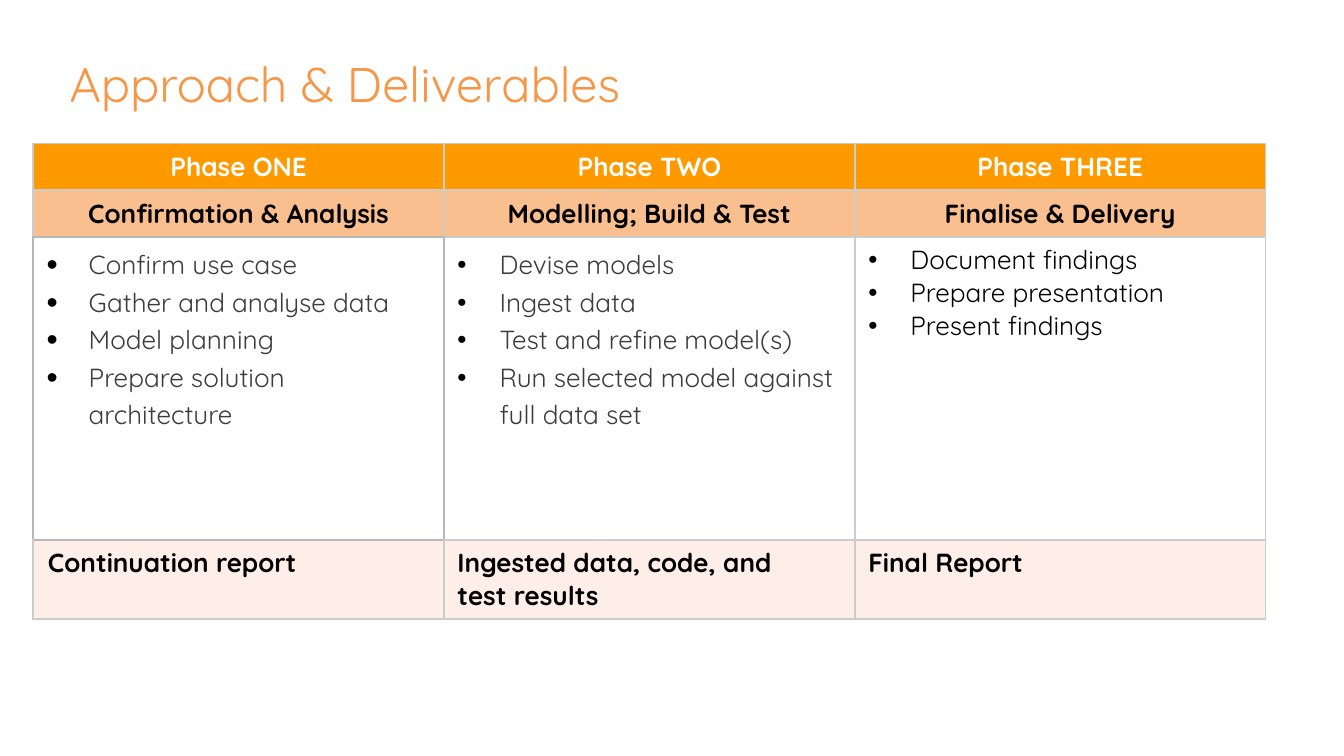
"""Build the Approach & Deliverables slide with its three-phase table."""
from lxml import etree
from pptx import Presentation
from pptx import util as u
from pptx.dml.color import RGBColor
from pptx.enum import text
from pptx.oxml import ns

WHITE = RGBColor(0xFF, 0xFF, 0xFF)
BLACK = RGBColor(0x00, 0x00, 0x00)
CHARCOAL = RGBColor(0x3C, 0x3C, 0x3B)
CORAL = RGBColor(0xF7, 0x96, 0x46)
ORANGE = RGBColor(0xFF, 0x99, 0x00)
PEACH = RGBColor(0xFA, 0xBF, 0x8E)
BLUSH = RGBColor(0xFD, 0xEE, 0xE8)
LIGHT_GREY = RGBColor(0xCC, 0xCC, 0xCC)
GREY = RGBColor(0xB7, 0xB7, 0xB7)

HEADS = ["Phase ONE", "Phase TWO", "Phase THREE"]
STAGES = ["Confirmation & Analysis", "Modelling; Build & Test", "Finalise & Delivery"]
TASKS = [
    ["Confirm use case", "Gather and analyse data", "Model planning",
     "Prepare solution architecture"],
    ["Devise models", "Ingest data", "Test and refine model(s)",
     "Run selected model against full data set"],
    ["Document findings", "Prepare presentation", "Present findings"],
]
TASK_STYLES = [
    {"color": CHARCOAL, "spacing": 1.15, "bullet": 122},
    {"color": CHARCOAL, "spacing": 1.15, "bullet": 100},
    {"color": BLACK, "bullet": 100},
]
OUTPUTS = ["Continuation report", "Ingested data, code, and \vtest results", "Final Report"]
ROW_HEIGHTS = [25, 25, 162.4, 42.4]
STRONG_CELL = (2, 0)


class Deck:
    """Holds the style and the current slide."""

    def __init__(self, prs):
        self.font = "Quicksand"
        self.insets = {"margin_left": u.Pt(7.2), "margin_right": u.Pt(7.2),
                       "margin_top": u.Pt(3.6), "margin_bottom": u.Pt(3.6)}
        self.s = prs.slides.add_slide(prs.slide_layouts[6])

    def apply(self, obj, values):
        for name, value in values.items():
            setattr(obj, name, value)

    def paragraphs(self, tf, lines, size, color, bold=False, align=None,
                   spacing=None, bullet=None, indent=0):
        for i, line in enumerate(lines):
            p = tf.add_paragraph() if i else tf.paragraphs[0]
            p.text = line
            self.apply(p, {"alignment": align, "line_spacing": spacing})
            for r in p.runs:
                self.apply(r.font, {"name": self.font, "size": u.Pt(size), "bold": bold})
                r.font.color.rgb = color
            if bullet:
                self.bullet(p, bullet)
            elif indent:
                p._p.get_or_add_pPr().set("marL", str(u.Pt(indent)))

    def bullet(self, p, percent):
        pr = p._p.get_or_add_pPr()
        self.apply_xml(pr, {"marL": u.Pt(22.5), "indent": -u.Pt(22.5)})
        clr = etree.SubElement(pr, ns.qn("a:buClr"))
        self.apply_xml(etree.SubElement(clr, ns.qn("a:srgbClr")), {"val": BLACK})
        for tag, values in (("a:buSzPct", {"val": percent * 1000}),
                            ("a:buFont", {"typeface": "Arial"}),
                            ("a:buChar", {"char": "•"})):
            self.apply_xml(etree.SubElement(pr, ns.qn(tag)), values)

    def apply_xml(self, el, values):
        for name, value in values.items():
            el.set(name, str(value))

    def title(self, line, x, y, w, h):
        tf = self.s.shapes.add_textbox(u.Pt(x), u.Pt(y), u.Pt(w), u.Pt(h)).text_frame
        self.apply(tf, {"word_wrap": True, "vertical_anchor": text.MSO_ANCHOR.MIDDLE,
                        **self.insets})
        self.paragraphs(tf, [line], 26, CORAL)

    def table(self, x, y, col_width, heights, cols):
        sp = self.s.shapes.add_table(len(heights), cols, u.Pt(x), u.Pt(y),
                                     u.Pt(col_width * cols), u.Pt(sum(heights)))
        for col in sp.table.columns:
            col.width = u.Pt(col_width)
        for row, height in zip(sp.table.rows, heights):
            row.height = u.Pt(height)
        return sp.table

    def cell(self, tbl, row, col, lines, fill, **style):
        cell = tbl.cell(row, col)
        self.apply(cell, self.insets)
        cell.fill.solid()
        cell.fill.fore_color.rgb = fill
        self.paragraphs(cell.text_frame, lines, 14, **style)
        self.borders(cell, row, col)

    def borders(self, cell, row, col):
        sides = {"L": (row, col - 1), "R": (row, col + 1),
                 "T": (row - 1, col), "B": (row + 1, col)}
        for i, (side, neighbour) in enumerate(sides.items()):
            color = GREY if STRONG_CELL in ((row, col), neighbour) else LIGHT_GREY
            ln = etree.Element(ns.qn("a:ln" + side), w=str(u.Pt(1)))
            solid = etree.SubElement(ln, ns.qn("a:solidFill"))
            etree.SubElement(solid, ns.qn("a:srgbClr"), val=str(color))
            cell._tc.get_or_add_tcPr().insert(i, ln)


def main():
    prs = Presentation()
    prs.slide_width, prs.slide_height = u.Pt(720), u.Pt(405)
    deck = Deck(prs)
    deck.title("Approach & Deliverables", 30.2, 16.6, 648, 55.4)
    tbl = deck.table(17.8, 76.9, 220.1, ROW_HEIGHTS, len(HEADS))
    heading = {"bold": True, "align": text.PP_ALIGN.CENTER}
    for col, tasks in enumerate(TASKS):
        deck.cell(tbl, 0, col, [HEADS[col]], ORANGE, color=WHITE, **heading)
        deck.cell(tbl, 1, col, [STAGES[col]], PEACH, color=BLACK, **heading)
        deck.cell(tbl, 2, col, tasks, WHITE, **TASK_STYLES[col])
        deck.cell(tbl, 3, col, [OUTPUTS[col]], BLUSH, color=BLACK, bold=True,
                  indent=0 if col else 0.7)
    prs.save("out.pptx")


if __name__ == "__main__":
    main()
